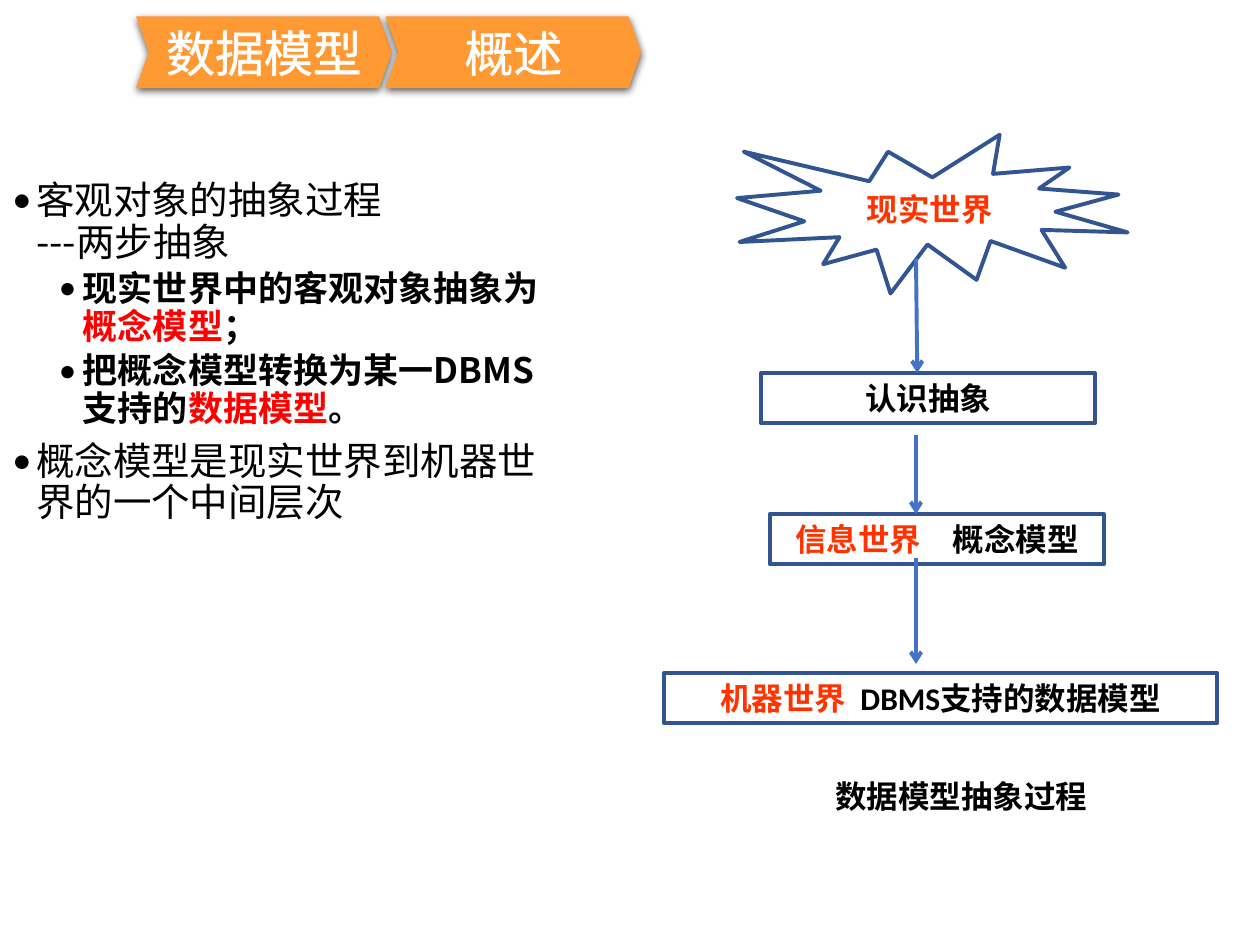
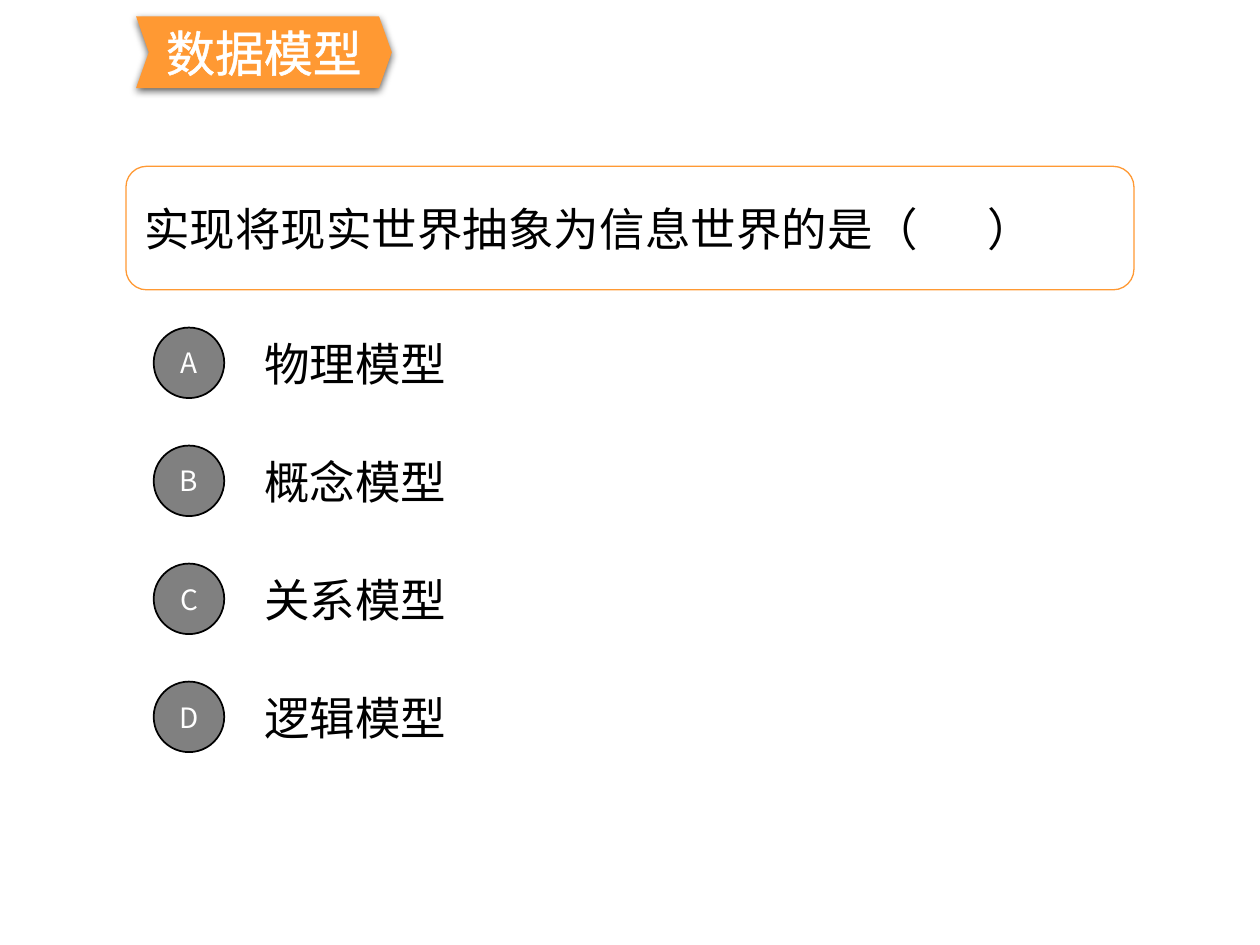
from lxml.etree import Element, SubElement
from pptx import Presentation
from pptx.dml.color import RGBColor
from pptx.enum.shapes import MSO_CONNECTOR, MSO_SHAPE
from pptx.enum.text import MSO_ANCHOR, PP_ALIGN
from pptx.oxml.ns import qn
from pptx.util import Inches, Pt

ORANGE = RGBColor(0xFF, 0x99, 0x33)
RED = RGBColor(0xFF, 0x00, 0x00)
SCARLET = RGBColor(0xFF, 0x33, 0x00)
NAVY = RGBColor(0x32, 0x54, 0x91)
BLUE = RGBColor(0x44, 0x72, 0xC4)
GREY = RGBColor(0x80, 0x80, 0x80)
BLACK = RGBColor(0x00, 0x00, 0x00)
WHITE = RGBColor(0xFF, 0xFF, 0xFF)
SANS = "Noto Sans CJK SC"
LATIN = "Calibri"


def add_run(para, text, size=18, color=BLACK, bold=False, font=SANS, track=0,
            edge=0):
    """Add one run; track (letter spacing) and edge (outline) are in points."""
    run = para.add_run()
    run.text = text
    run.font.size = Pt(size)
    run.font.bold = bold
    run.font.name = font
    run.font.color.rgb = color
    props = run.font._element
    SubElement(props, qn("a:ea")).set("typeface", SANS)
    if track:
        props.set("spc", str(track * 100))
    if edge:
        line = Element(qn("a:ln"), w=str(Pt(edge)))
        fill = SubElement(line, qn("a:solidFill"))
        SubElement(fill, qn("a:srgbClr"), val=str(color))
        props.insert(0, line)


def write(para, text, align=PP_ALIGN.LEFT, **style):
    """Fill a paragraph from a string or a list of (text, overrides)."""
    para.alignment = align
    parts = [(text, {})] if isinstance(text, str) else text
    for words, extra in parts:
        for i, row in enumerate(words.split("\n")):
            if i:
                para.add_line_break()
            add_run(para, row, **{**style, **extra})


def set_frame(shape, anchor, side=0.1):
    frame = shape.text_frame
    frame.word_wrap = True
    frame.vertical_anchor = anchor
    frame.margin_left = frame.margin_right = Inches(side)
    return frame


def add_label(slide, at, text, anchor=MSO_ANCHOR.TOP, **style):
    label = slide.shapes.add_textbox(*map(Inches, at))
    write(set_frame(label, anchor).paragraphs[0], text, **style)


def add_box(slide, kind, at, text, fill=None, line=None, width=2.25,
            anchor=MSO_ANCHOR.MIDDLE, side=0.1, **style):
    box = slide.shapes.add_shape(kind, *map(Inches, at))
    box.shadow.inherit = False
    if fill is None:
        box.fill.background()
    else:
        box.fill.solid()
        box.fill.fore_color.rgb = fill
    if line is None:
        box.line.fill.background()
    else:
        box.line.color.rgb = line
        box.line.width = Pt(width)
    write(set_frame(box, anchor, side).paragraphs[0], text, **style)
    return box


def cast_shadow(shape):
    effects = shape._element.spPr.find(qn("a:effectLst"))
    shade = SubElement(effects, qn("a:outerShdw"), blurRad=str(Pt(4.5)),
                       dist=str(Pt(1.5)), dir="5400000", rotWithShape="0")
    tint = SubElement(shade, qn("a:srgbClr"), val=str(BLACK))
    SubElement(tint, qn("a:alpha"), val="63000")


def add_arrow(slide, start, end):
    arrow = slide.shapes.add_connector(
        MSO_CONNECTOR.STRAIGHT, *map(Inches, (*start, *end)))
    arrow.line.color.rgb = BLUE
    arrow.line.width = Pt(2.25)
    SubElement(arrow.line._get_or_add_ln(), qn("a:tailEnd"), type="arrow")
    SubElement(arrow._element.spPr, qn("a:effectLst"))


def add_trail(slide, names, at=(1.08, 0.13, 2.03, 0.57), step=1.98):
    """Draw the title as a row of chevrons."""
    left, top, wide, high = at
    for i, name in enumerate(names):
        mark = add_box(slide, MSO_SHAPE.CHEVRON,
                       (left + i * step, top, wide, high), name, fill=ORANGE,
                       side=0.05, size=28, color=WHITE, edge=1.45,
                       align=PP_ALIGN.CENTER)
        mark.adjustments[0] = 0.178
        cast_shadow(mark)


def add_points(slide, at, points):
    body = slide.shapes.add_textbox(*map(Inches, at))
    frame = set_frame(body, MSO_ANCHOR.TOP)
    for i, (level, text) in enumerate(points):
        para = frame.add_paragraph() if i else frame.paragraphs[0]
        para.level = level
        para.line_spacing = 0.9
        para.space_before = Pt(3.8 if level else 7.5)
        write(para, text, size=20 if level else 22, bold=level > 0)
        props = para._element.get_or_add_pPr()
        props.set("marL", str(Inches(0.56 if level else 0.19)))
        props.set("indent", str(Inches(-0.19)))
        SubElement(props, qn("a:buFont"), typeface=LATIN)
        SubElement(props, qn("a:buChar"), char="•")


def add_flow(slide, at):
    """Draw the steps from the real world down to the machine world."""
    left, top, wide, high = at
    style = dict(size=18, bold=True, font=LATIN, align=PP_ALIGN.CENTER)
    hot = dict(color=SCARLET)
    add_box(slide, MSO_SHAPE.EXPLOSION1, (left + 0.58, top, 3.1, 1.26),
            "现实世界", line=NAVY, color=SCARLET, **style)
    steps = [
        (0.77, 1.89, 2.65, "认识抽象"),
        (0.84, 3.01, 2.65, [("信息世界", hot), ("　概念模型", {})]),
        (0, 4.27, wide, [("机器世界", hot), (" ", dict(track=4)),
                         ("DBMS支持的数据模型", {})]),
    ]
    for x, y, span, text in steps:
        add_box(slide, MSO_SHAPE.RECTANGLE, (left + x, top + y, span, 0.4),
                text, fill=WHITE, line=NAVY, anchor=MSO_ANCHOR.TOP, **style)
    axis = left + 2
    for y, end, lean in [(0.98, 1.89, 0.01), (2.38, 3.01, 0), (3.36, 4.2, 0)]:
        add_arrow(slide, (axis, top + y), (axis + lean, top + end))
    add_label(slide, (left + 0.71, top + high - 0.4, 3.3, 0.4),
              "数据模型抽象过程", **style)


def add_quiz(slide, at, question, answers):
    left, top, wide, high = at
    panel = add_box(slide, MSO_SHAPE.ROUNDED_RECTANGLE, (left, top, wide, 0.98),
                    question, line=ORANGE, width=0.75, size=26)
    panel.adjustments[0] = 0.167
    row = 0.7
    step = (high - 1.21 - row) / (len(answers) - 1)
    for i, (mark, answer) in enumerate(answers.items()):
        y = top + 1.21 + i * step
        add_label(slide, (left + 1, y, wide - 1, row), answer,
                  anchor=MSO_ANCHOR.MIDDLE, size=26)
        add_box(slide, MSO_SHAPE.OVAL, (left + 0.22, y + 0.07, 0.56, 0.56),
                mark, fill=GREY, line=BLACK, width=1, size=16, color=WHITE,
                side=0, align=PP_ALIGN.CENTER)


def main():
    deck = Presentation()
    deck.slide_width, deck.slide_height = Inches(10), Inches(7.5)
    blank = deck.slide_layouts[6]

    slide = deck.slides.add_slide(blank)
    key = dict(color=RED)
    add_points(slide, (0, 1.39, 4.53, 5.13), [
        (0, "客观对象的抽象过程\n---两步抽象"),
        (1, [("现实世界中的客观对象抽象为", {}), ("概念模型", key), ("；", {})]),
        (1, [("把概念模型转换为某一DBMS支持的", {}), ("数据模型", key),
             ("。", {})]),
        (0, "概念模型是现实世界到机器世界的一个中间层次"),
    ])
    add_trail(slide, ["数据模型", "概述"])
    add_flow(slide, (5.27, 1.07, 4.39, 5.45))

    slide = deck.slides.add_slide(blank)
    add_quiz(slide, (1, 1.32, 8, 4.72),
             [("实现将现实世界抽象为信息世界的是（", {}),
              (" ", dict(track=33)), ("）", {})],
             {"A": "物理模型", "B": "概念模型", "C": "关系模型", "D": "逻辑模型"})
    add_trail(slide, ["数据模型"])
    deck.save("out.pptx")


if __name__ == "__main__":
    main()
